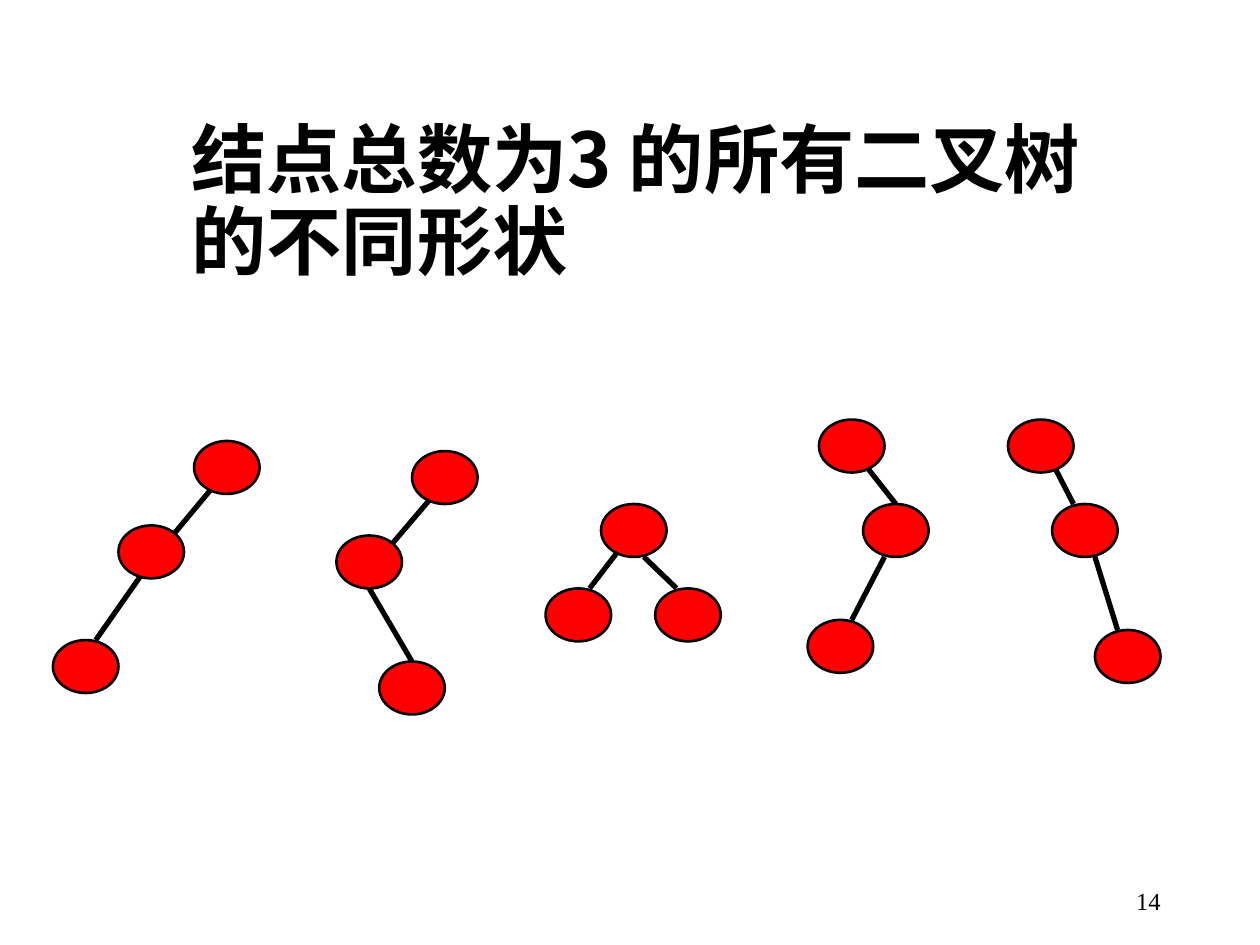
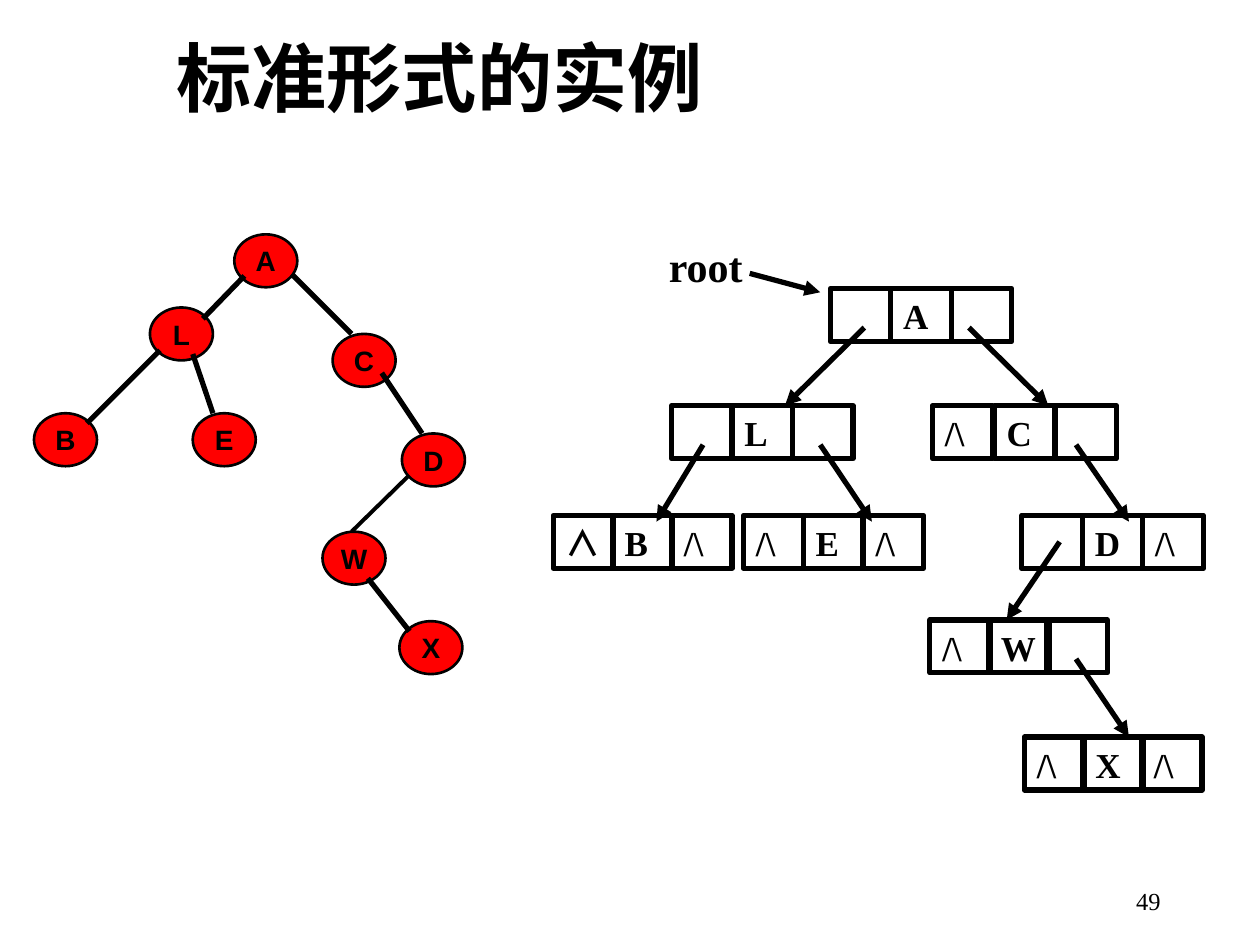
from pptx import Presentation
from pptx import util as u
from pptx.dml.color import RGBColor
from pptx.enum import shapes, text
from pptx.oxml.ns import qn
from lxml import etree

BLACK, RED = "000000", "FF0000"
SERIF, SANS, CJK = "Times New Roman", "Arial", "Noto Sans CJK SC"
NODE_H = 0.42
CELL_W, CELL_H = 0.48, 0.42
NIL = "/\\"


def rgb(value):
    return RGBColor.from_string(value)


def box(left, top, width, height):
    return [u.Inches(v) for v in (left, top, width, height)]


def write(sp, content, size=20, font=SERIF, bold=True, align=text.PP_ALIGN.LEFT,
          anchor=text.MSO_ANCHOR.TOP, wrap=True, spacing=None):
    tf = sp.text_frame
    tf.word_wrap = wrap
    tf.auto_size = text.MSO_AUTO_SIZE.NONE
    tf.vertical_anchor = anchor
    p = tf.paragraphs[0]
    p.alignment = align
    p.line_spacing = spacing
    r = p.add_run()
    r.text = content
    r.font.size, r.font.bold, r.font.name = u.Pt(size), bold, font
    r.font.color.rgb = rgb(BLACK)
    if font == CJK:
        etree.SubElement(r.font._element, qn("a:ea"), typeface=font)


def add_slide(prs, title, left, top, number):
    s = prs.slides.add_slide(prs.slide_layouts[5])
    sp = s.shapes.title
    sp.left, sp.top, sp.width, sp.height = box(left, top, 7.55, 0.74)
    write(sp, title, size=43, font=CJK, anchor=text.MSO_ANCHOR.MIDDLE, spacing=0.9)
    footer = s.shapes.add_textbox(*box(7.06, 6.95, 2.25, 0.4))
    write(footer, number, size=14, bold=False, align=text.PP_ALIGN.RIGHT,
          anchor=text.MSO_ANCHOR.MIDDLE)
    return s


def outlined(parent, kind, bounds, width, fill=None):
    sp = parent.add_shape(kind, *box(*bounds))
    sp.shadow.inherit = False
    sp.line.color.rgb, sp.line.width = rgb(BLACK), u.Pt(width)
    if fill:
        sp.fill.solid()
        sp.fill.fore_color.rgb = rgb(fill)
    else:
        sp.fill.background()
    return sp


def add_node(parent, left, top, width, label=None):
    sp = outlined(parent, shapes.MSO_SHAPE.OVAL, (left, top, width, NODE_H), 1.5, RED)
    if label:
        write(sp, label, size=16, font=SANS, align=text.PP_ALIGN.CENTER,
              anchor=text.MSO_ANCHOR.MIDDLE, wrap=False)


def add_edge(parent, x1, y1, x2, y2, width=3, arrow=False):
    ln = parent.add_connector(shapes.MSO_CONNECTOR.STRAIGHT, *box(x1, y1, x2, y2))
    ln.line.color.rgb, ln.line.width = rgb(BLACK), u.Pt(width)
    if arrow:
        etree.SubElement(ln.line._get_or_add_ln(), qn("a:tailEnd"), type="triangle")
    etree.SubElement(ln._element.spPr, qn("a:effectLst"))


def add_record(parent, left, top, step, labels):
    """Draw one linked node: left pointer, data, right pointer."""
    for i, label in enumerate(labels):
        bounds = (left + i * step, top, CELL_W, CELL_H)
        cell = outlined(parent, shapes.MSO_SHAPE.RECTANGLE, bounds, 3)
        if label == "∧":
            write(cell, label, font=CJK)
        elif label:
            write(cell, label, align=text.PP_ALIGN.JUSTIFY)


# Each three-node shape: node corners, then edges
TREE_SHAPES = [
    ([(1.54, 3.5), (0.94, 4.17), (0.42, 5.08)],
     [(1.37, 4.25, 1.72, 3.83), (0.76, 5.08, 1.11, 4.58)]),
    ([(3.27, 3.58), (2.67, 4.25), (3.01, 5.25)],
     [(3.1, 4.33, 3.45, 3.92), (3.27, 5.25, 2.93, 4.67)]),
    ([(4.77, 4), (4.33, 4.67), (5.2, 4.67)],
     [(4.68, 4.67, 4.94, 4.33), (5.37, 4.67, 5.11, 4.42)]),
    ([(6.5, 3.33), (6.85, 4), (6.41, 4.92)],
     [(6.85, 3.67, 7.11, 4), (6.76, 4.92, 7.02, 4.42)]),
    ([(8, 3.33), (8.35, 4), (8.69, 5)],
     [(8.35, 3.67, 8.52, 4), (8.87, 5, 8.69, 4.42)]),
]

# The example tree and its linked storage
TREE_NODES = {"A": (1.86, 1.86), "L": (1.19, 2.44), "C": (2.64, 2.65), "X": (3.17, 4.93),
              "E": (1.53, 3.28), "B": (0.27, 3.28), "W": (2.56, 4.22), "D": (3.19, 3.44)}
TREE_EDGES = [(1.94, 2.19, 1.61, 2.53), (1.27, 2.78, 0.69, 3.36), (2.32, 2.18, 2.79, 2.65),
              (2.92, 4.59, 3.25, 5.01), (1.53, 2.81, 1.69, 3.28), (3.03, 2.96, 3.35, 3.44)]
RECORDS = [
    (6.59, 2.29, 0.48, ("", "A", "")),
    (5.33, 3.22, 0.48, ("", "L", "")),
    (7.4, 3.22, 0.49, (NIL, "C", "")),
    (4.39, 4.09, 0.47, ("∧", "B", NIL)),
    (5.9, 4.09, 0.475, (NIL, "E", NIL)),
    (8.11, 4.09, 0.48, ("", "D", NIL)),
    (7.38, 4.92, 0.465, (NIL, "W", "")),
    (8.13, 5.85, 0.465, (NIL, "X", NIL)),
]
POINTERS = [(6.86, 2.6, 6.23, 3.22), (7.69, 2.6, 8.32, 3.22), (5.58, 3.53, 5.21, 4.14),
            (6.51, 3.53, 6.92, 4.14), (8.54, 3.53, 8.96, 4.14), (8.41, 4.3, 7.99, 4.92),
            (8.54, 5.23, 8.96, 5.85), (5.95, 2.17, 6.51, 2.32)]


def shapes_slide(prs):
    s = add_slide(prs, "结点总数为3 的所有二叉树的不同形状", 1.42, 1.25, "14")
    for nodes, edges in TREE_SHAPES:
        tree = s.shapes.add_group_shape().shapes
        for edge in edges:
            add_edge(tree, *edge)
        for left, top in nodes:
            add_node(tree, left, top, 0.52)


def storage_slide(prs):
    s = add_slide(prs, "标准形式的实例", 1.3, 0.28, "49")
    # Linked records
    linked = s.shapes.add_group_shape().shapes
    for record in RECORDS:
        add_record(linked, *record)
    for pointer in POINTERS:
        add_edge(linked, *pointer, arrow=True)
    root = linked.add_textbox(*box(5.21, 1.86, 1.11, 0.46))
    write(root, "root", size=24, align=text.PP_ALIGN.JUSTIFY)
    # Binary tree; the D-W edge runs behind the nodes
    tree = s.shapes.add_group_shape().shapes
    add_edge(tree, 3.27, 3.75, 2.79, 4.22, width=2.25)
    for label, (left, top) in TREE_NODES.items():
        add_node(tree, left, top, 0.5, label)
    for edge in TREE_EDGES:
        add_edge(tree, *edge)


def main():
    prs = Presentation()
    prs.slide_width, prs.slide_height = u.Inches(10), u.Inches(7.5)
    shapes_slide(prs)
    storage_slide(prs)
    prs.save("out.pptx")


if __name__ == "__main__":
    main()
